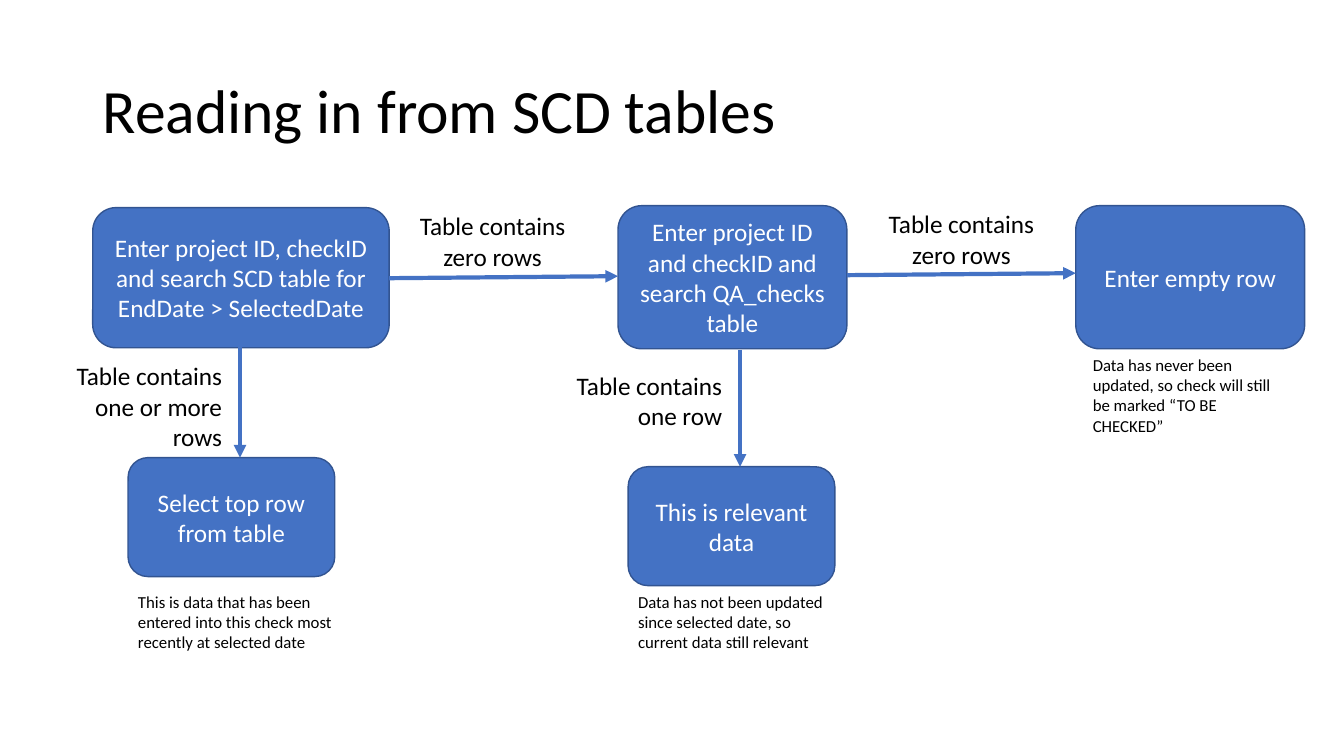
from typing import NamedTuple

from lxml import etree
from pptx import Presentation
from pptx.dml.color import RGBColor
from pptx.enum import shapes, text
from pptx.oxml import ns
from pptx.util import Inches, Pt

BLUE = RGBColor(0x44, 0x72, 0xC4)
DARK_BLUE = RGBColor(0x32, 0x54, 0x91)
WHITE = RGBColor(0xFF, 0xFF, 0xFF)
BLACK = RGBColor(0, 0, 0)
FONT = "Calibri"

LEFT = text.PP_ALIGN.LEFT
CENTER = text.PP_ALIGN.CENTER
RIGHT = text.PP_ALIGN.RIGHT


class Step(NamedTuple):
    left: float
    top: float
    width: float
    height: float
    wording: str


class Label(NamedTuple):
    left: float
    top: float
    width: float
    height: float
    wording: str
    align: text.PP_ALIGN = LEFT
    size: int = 12


class Arrow(NamedTuple):
    start_x: float
    start_y: float
    end_x: float
    end_y: float


TITLE = Label(0.92, 0.4, 11.5, 1.45, "Reading in from SCD tables", LEFT, 44)

STEPS = [
    Step(0.92, 2.06, 2.94, 1.39,
         "Enter project ID, checkID and search SCD table for EndDate > SelectedDate"),
    Step(6.13, 2.04, 2.27, 1.42,
         "Enter project ID and checkID and search QA_checks table"),
    Step(10.67, 2.04, 2.27, 1.42, "Enter empty row"),
    Step(1.27, 4.54, 2.05, 1.18, "Select top row from table"),
    Step(6.23, 4.63, 2.05, 1.18, "This is relevant data"),
]

ARROWS = [
    Arrow(3.86, 2.76, 6.13, 2.74),
    Arrow(8.4, 2.73, 10.67, 2.71),
    Arrow(2.38, 3.37, 2.38, 4.54),
    Arrow(7.34, 3.47, 7.34, 4.63),
]

CONDITIONS = [
    Label(3.94, 2.04, 1.89, 0.71, "Table contains zero rows", CENTER, 18),
    Label(8.59, 2.02, 1.89, 0.71, "Table contains zero rows", CENTER, 18),
    Label(0.41, 3.53, 1.89, 1.01, "Table contains one or more rows", RIGHT, 18),
    Label(5.37, 3.62, 1.89, 0.71, "Table contains one row", RIGHT, 18),
]

OUTCOMES = [
    Label(1.27, 5.82, 2.14, 0.71,
          "This is data that has been entered into this check most recently at selected date"),
    Label(6.23, 5.82, 2.14, 0.71,
          "Data has not been updated since selected date, so current data still relevant"),
    Label(10.74, 3.47, 2.14, 0.91,
          "Data has never been updated, so check will still be marked “TO BE CHECKED”"),
]


def write(shape, wording: str, align: text.PP_ALIGN, size: int, color: RGBColor,
          anchor: text.MSO_ANCHOR):
    """Fill a shape with one formatted paragraph and return the paragraph."""
    frame = shape.text_frame
    frame.word_wrap = True
    frame.vertical_anchor = anchor
    frame.text = wording
    para = frame.paragraphs[0]
    para.alignment = align
    font = para.runs[0].font
    font.name, font.size, font.color.rgb = FONT, Pt(size), color
    return para


def add_step(slide, step: Step) -> None:
    box = slide.shapes.add_shape(shapes.MSO_SHAPE.ROUNDED_RECTANGLE, *map(Inches, step[:4]))
    box.shadow.inherit = False
    box.fill.solid()
    box.fill.fore_color.rgb = BLUE
    box.line.color.rgb = DARK_BLUE
    box.line.width = Pt(1)
    write(box, step.wording, CENTER, 18, WHITE, text.MSO_ANCHOR.MIDDLE)


def add_label(slide, label: Label, anchor: text.MSO_ANCHOR = text.MSO_ANCHOR.TOP):
    box = slide.shapes.add_textbox(*map(Inches, label[:4]))
    return write(box, label.wording, label.align, label.size, BLACK, anchor)


def add_arrow(slide, arrow: Arrow) -> None:
    connector = slide.shapes.add_connector(shapes.MSO_CONNECTOR.STRAIGHT, *map(Inches, arrow))
    connector.line.color.rgb = BLUE
    connector.line.width = Pt(3)
    properties = connector.line._get_or_add_ln()
    etree.SubElement(properties, ns.qn("a:tailEnd"), type="triangle")
    etree.SubElement(connector._element.spPr, ns.qn("a:effectLst"))


def main() -> None:
    deck = Presentation()
    deck.slide_width, deck.slide_height = Inches(13.33), Inches(7.5)
    slide = deck.slides.add_slide(deck.slide_layouts[6])

    title = add_label(slide, TITLE, text.MSO_ANCHOR.MIDDLE)
    title.line_spacing = 0.9
    for step in STEPS:
        add_step(slide, step)
    for arrow in ARROWS:
        add_arrow(slide, arrow)
    for label in CONDITIONS + OUTCOMES:
        add_label(slide, label)

    deck.save("out.pptx")


if __name__ == "__main__":
    main()
